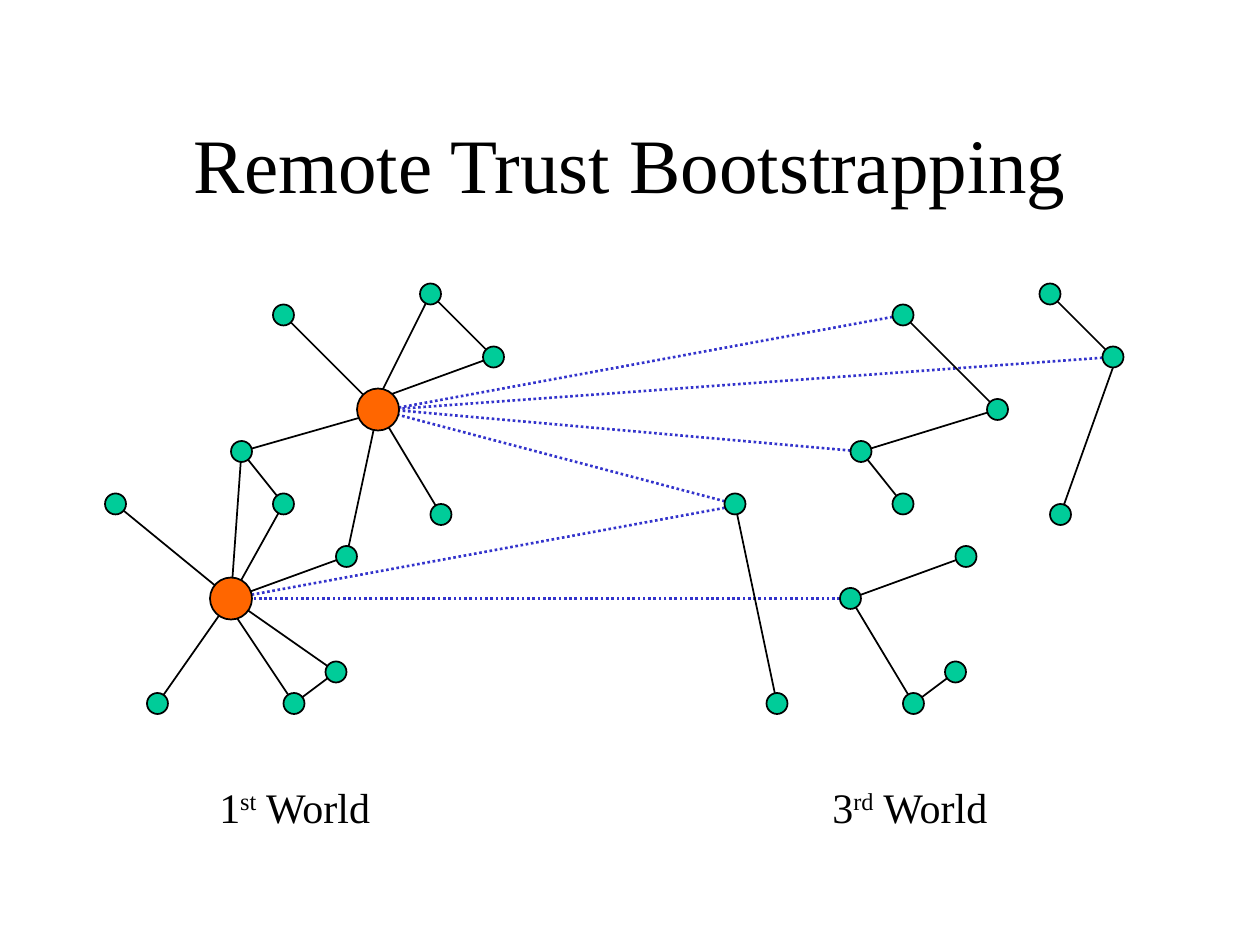
from lxml.etree import SubElement as Sub
from pptx import Presentation
from pptx.dml.color import RGBColor as Rgb
from pptx.enum.dml import MSO_LINE as Dash
from pptx.enum.shapes import MSO_CONNECTOR as Conn, MSO_SHAPE as Kind
from pptx.enum.text import MSO_ANCHOR as Anchor, MSO_AUTO_SIZE as Fit, PP_ALIGN as Align
from pptx.oxml.ns import qn
from pptx.util import Inches, Pt

COLS, ROWS = 120, 90
INK, BLUE, GREEN, ORANGE = "000000", "3333CC", "00CC99", "FF6600"

# Node centres as (column, row)
HUBS = {"south": (22, 57), "north": (36, 39)}
FIRST = {
    "a": (33, 53), "b": (32, 64), "c": (28, 67), "d": (15, 67),
    "e": (11, 48), "f": (23, 43), "g": (42, 49), "h": (27, 48),
    "i": (27, 30), "j": (41, 28), "k": (47, 34),
}
THIRD = {
    "A": (92, 53), "B": (91, 64), "C": (87, 67), "D": (82, 43),
    "E": (86, 48), "F": (86, 30), "G": (100, 28), "H": (106, 34),
    "I": (95, 39), "J": (81, 57), "K": (74, 67), "L": (70, 48),
    "M": (101, 49),
}
NODES = HUBS | FIRST | THIRD

# Links by node name, or by a point on a node's rim
EAST, TOP = (37, 39), (36, 38)
REMOTE = [("J", "south"), ((71, 48), "south"), ("L", "north"),
          ("H", EAST), ("D", EAST), ("F", EAST)]
LOCAL = [
    ("f", "south"), ("i", "north"), ("j", TOP), ("k", TOP),
    ("g", "north"), ("j", "k"), ("a", "north"), ("a", "south"),
    ("h", "south"), ("f", EAST), ("f", "h"), ("b", "south"),
    ("c", (22, 58)), ("b", "c"), ("d", "south"), ("e", "south"),
    ("D", "I"), ("F", "I"), ("G", "H"), ("A", "J"), ("D", "E"),
    ("C", "J"), ("B", "C"), ("K", "L"), ((106, 35), "M"),
]


def color(code):
    return Rgb.from_string(code)


def assign(item, values):
    for name, value in values.items():
        setattr(item, name, value)


class Board:
    font = "Times New Roman"

    def __init__(self):
        self.deck = Presentation()
        assign(self.deck, {"slide_width": Inches(10), "slide_height": Inches(7.5)})
        self.slide = self.deck.slides.add_slide(self.deck.slide_layouts[6])
        self.shapes = self.slide.shapes

    def x(self, col):
        return round(self.deck.slide_width * col / COLS)

    def y(self, row):
        return round(self.deck.slide_height * row / ROWS)

    def box(self, col, row, wide, high):
        return self.x(col), self.y(row), self.x(wide), self.y(high)

    def link(self, start, end, code=INK, **form):
        (c1, r1), (c2, r2) = (NODES.get(p, p) for p in (start, end))
        line = self.shapes.add_connector(
            Conn.STRAIGHT, self.x(c1), self.y(r1), self.x(c2), self.y(r2))
        line.line.color.rgb = color(code)
        assign(line.line, {"width": Pt(1)} | form)
        Sub(line._element.spPr, qn("a:effectLst"))

    def dot(self, spot, size, code):
        col, row = spot
        dot = self.shapes.add_shape(
            Kind.OVAL, *self.box(col - size / 2, row - size / 2, size, size))
        dot.shadow.inherit = False
        dot.fill.solid()
        dot.fill.fore_color.rgb = color(code)
        dot.line.color.rgb = color(INK)
        dot.line.width = Pt(1)

    def text(self, place, parts, size, align=Align.LEFT, **form):
        frame = self.shapes.add_textbox(*self.box(*place)).text_frame
        assign(frame, form)
        para = frame.paragraphs[0]
        para.alignment = align
        for i, part in enumerate(parts):
            run = para.add_run()
            run.text = part
            assign(run.font, {"name": self.font, "size": Pt(size)})
            run.font.color.rgb = color(INK)
            if i == 1:  # the ordinal ending is raised
                run._r.get_or_add_rPr().set("baseline", "30000")


def main():
    board = Board()

    # Links lie behind the nodes
    for start, end in REMOTE:
        board.link(start, end, BLUE, width=Pt(1.5), dash_style=Dash.ROUND_DOT)
    for start, end in LOCAL:
        board.link(start, end)

    # Title
    board.text((9, 8, 102, 15), ["Remote Trust Bootstrapping"], 44, Align.CENTER,
               word_wrap=True, vertical_anchor=Anchor.MIDDLE)

    # Hubs and nodes
    for spot in HUBS.values():
        board.dot(spot, 4, ORANGE)
    for spot in (FIRST | THIRD).values():
        board.dot(spot, 2, GREEN)

    # World labels
    for col, wide, parts in ((19.7, 17.2, ["1", "st", " World"]),
                             (78.1, 17.5, ["3", "rd", " World"])):
        board.text((col, 73.8, wide, 6), parts, 24,
                   word_wrap=False, auto_size=Fit.SHAPE_TO_FIT_TEXT)

    board.deck.save("out.pptx")


if __name__ == "__main__":
    main()
